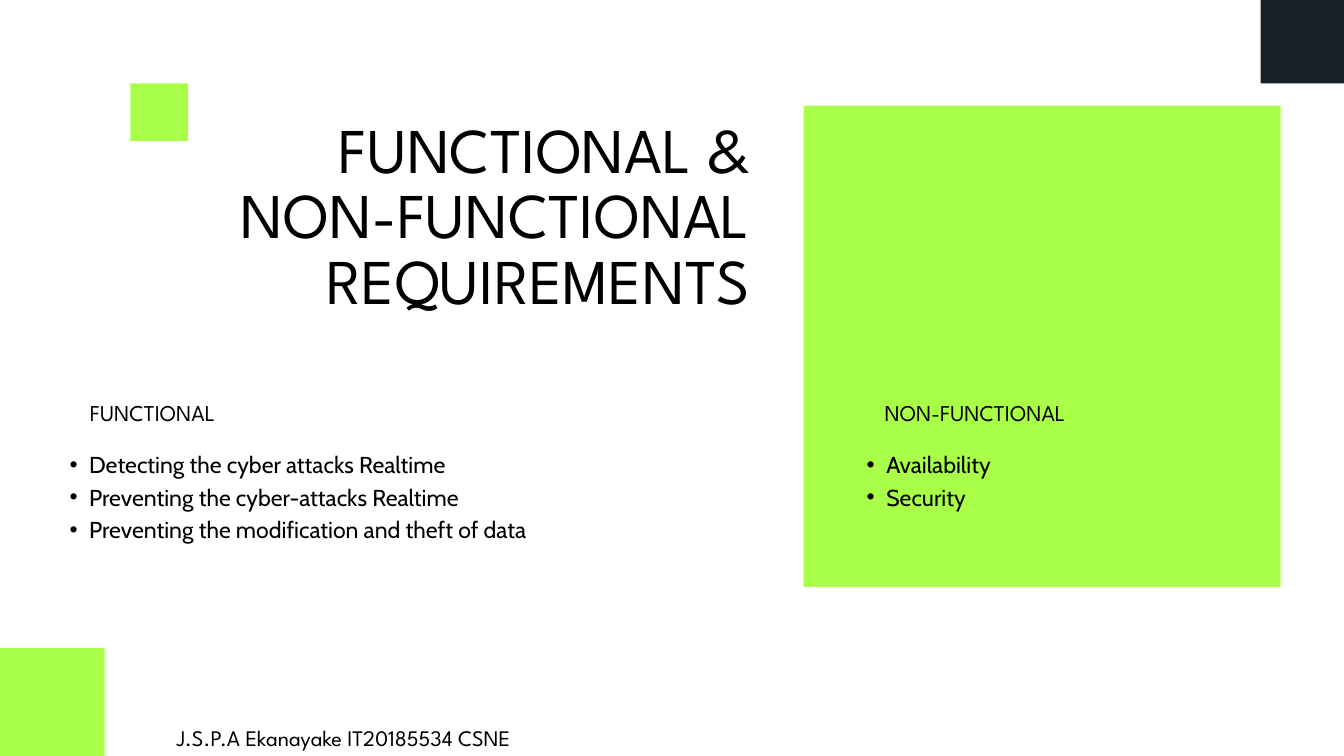
"""Build the slide on functional and non-functional requirements."""
from lxml import etree
from pptx import Presentation
from pptx import util as u
from pptx.dml.color import RGBColor
from pptx.enum import shapes, text
from pptx.oxml.ns import qn

HUES = {"lime": "A9FF47", "navy": "181F29", "ink": "000000"}
HEAD, BODY = "League Spartan", "Cabin"
SIDE = text.PP_ALIGN

deck = Presentation()
deck.slide_width, deck.slide_height = u.Cm(50.8), u.Cm(28.58)
slide = deck.slides.add_slide(deck.slide_layouts[6])


def block(x, y, w, h, hue):
    box = slide.shapes.add_shape(
        shapes.MSO_SHAPE.RECTANGLE, u.Cm(x), u.Cm(y), u.Cm(w), u.Cm(h))
    box.shadow.inherit = False
    box.fill.solid()
    box.fill.fore_color.rgb = RGBColor.from_string(HUES[hue])
    box.line.fill.background()


def write(x, y, w, h, lines, face, size, lead, side, dots=False):
    frame = slide.shapes.add_textbox(u.Cm(x), u.Cm(y), u.Cm(w), u.Cm(h)).text_frame
    frame.word_wrap = True
    frame.margin_left = frame.margin_right = 0
    frame.margin_top = frame.margin_bottom = 0
    for i, line in enumerate(lines):
        para = frame.add_paragraph() if i else frame.paragraphs[0]
        para.text = line
        para.alignment = side
        para.line_spacing = u.Pt(lead)
        if dots:
            props = para._p.get_or_add_pPr()
            props.set("marL", str(u.Cm(1.47)))
            props.set("indent", str(u.Cm(-0.74)))
            etree.SubElement(props, qn("a:buFont"), typeface="Arial")
            etree.SubElement(props, qn("a:buChar"), char="•")
        para.font.name = face
        para.font.size = u.Pt(size)
        para.font.color.rgb = RGBColor.from_string(HUES["ink"])


for spot in [
    (30.38, 3.99, 18.03, 18.2, "lime"),
    (4.93, 3.15, 2.18, 2.18, "lime"),
    (0, 24.49, 3.96, 4.09, "lime"),
    (47.65, 0, 3.15, 3.15, "navy"),
]:
    block(*spot)

write(3.35, 4.55, 25, 10.08, ["FUNCTIONAL &", "NON-FUNCTIONAL REQUIREMENTS"],
      HEAD, 68.3, 70.3, SIDE.RIGHT)

parts = [
    ("FUNCTIONAL", 2.01, 7.52, 1.9, 21.64, [
        "Detecting the cyber attacks Realtime",
        "Preventing the cyber-attacks Realtime",
        "Preventing the modification and theft of data",
    ]),
    ("NON-FUNCTIONAL", 32.03, 9.65, 32.03, 16.38, ["Availability", "Security"]),
]
for name, x, w, left, wide, items in parts:
    write(x, 15.21, w, 0.91, [name], HEAD, 24.2, 24.9, SIDE.CENTER)
    write(left, 16.87, wide, 1.22 * len(items), items,
          BODY, 24.7, 34.6, SIDE.JUSTIFY, True)

write(0.48, 27.51, 25, 0.87, ["J.S.P.A Ekanayake IT20185534 CSNE"],
      HEAD, 23.8, 24.6, SIDE.CENTER)

deck.save("out.pptx")
